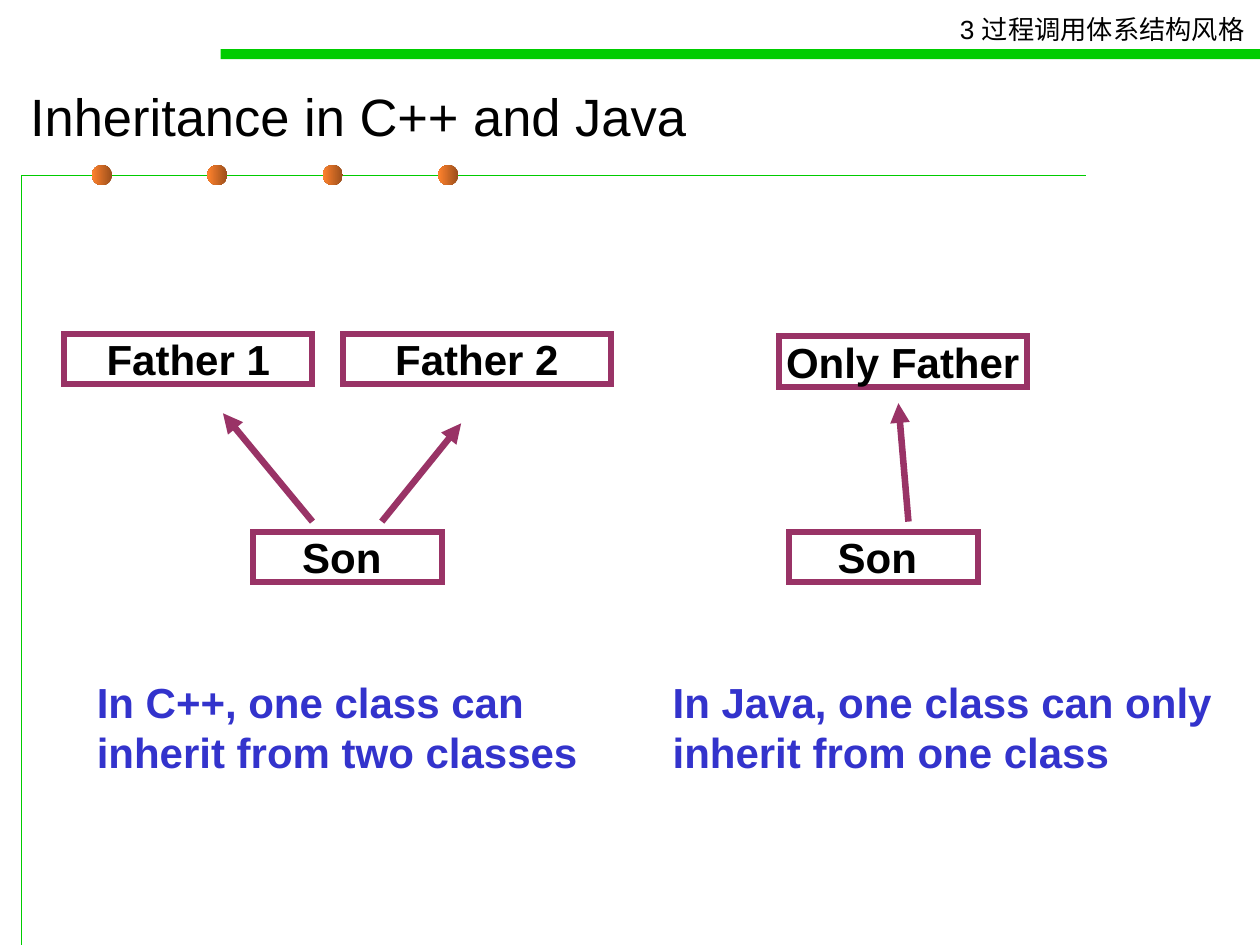
from lxml import etree
from pptx import Presentation
from pptx.dml.color import RGBColor
from pptx.enum.shapes import MSO_CONNECTOR, MSO_SHAPE
from pptx.enum.text import MSO_ANCHOR, PP_ALIGN
from pptx.oxml.ns import qn
from pptx.util import Inches, Pt

RECTANGLE, OVAL = MSO_SHAPE.RECTANGLE, MSO_SHAPE.OVAL
STRAIGHT = MSO_CONNECTOR.STRAIGHT
MIDDLE, TOP = MSO_ANCHOR.MIDDLE, MSO_ANCHOR.TOP
CENTER, LEFT = PP_ALIGN.CENTER, PP_ALIGN.LEFT

GREEN = RGBColor(0x00, 0xCC, 0x00)
BROWN = RGBColor(0x9A, 0x4E, 0x1B)
ORANGE = RGBColor(0xFF, 0x82, 0x2D)
PLUM = RGBColor(0x99, 0x33, 0x66)
BLUE = RGBColor(0x33, 0x33, 0xCC)
BLACK = RGBColor(0x00, 0x00, 0x00)

# The slide is a grid of 100 columns by 75 rows with square cells
COLUMNS, ROWS = 100, 75
CELL = Inches(10) // COLUMNS
FONT = "Arial"


def cells(*counts):
    return [round(count * CELL) for count in counts]


def write(frame, text, size, color, bold=False, align=LEFT):
    paragraph = frame.paragraphs[0]
    paragraph.alignment = align
    run = paragraph.add_run()
    run.text = text
    run.font.name, run.font.size = FONT, Pt(size)
    run.font.bold, run.font.color.rgb = bold, color


def add_text(slide, box, text, size, color, bold=False, anchor=TOP, wrap=True):
    frame = slide.shapes.add_textbox(*cells(*box)).text_frame
    frame.word_wrap = wrap
    frame.vertical_anchor = anchor
    write(frame, text, size, color, bold)
    return frame


def draw_line(shape, color, width):
    """Solid line with sharp corners; returns its XML element."""
    shape.line.width = Pt(width)
    shape.line.fill.solid()
    shape.line.fill.fore_color.rgb = color
    line = shape.line._get_or_add_ln()
    etree.SubElement(line, qn("a:miter"), lim="800000")
    return line


def add_plain_shape(slide, kind, box):
    shape = slide.shapes.add_shape(kind, *cells(*box))
    shape.shadow.inherit = False
    shape.line.fill.background()
    return shape


def add_header(slide, box):
    """Chapter name above a thick bar that runs to the right edge."""
    left, top, width, height = box
    bar_height = 0.8
    bar = add_plain_shape(
        slide, RECTANGLE, (left, top + height - bar_height, width, bar_height))
    bar.fill.solid()
    bar.fill.fore_color.rgb = GREEN
    chapter_width = 24.8
    chapter = add_text(
        slide, (left + width - chapter_width, top, chapter_width, 3.5),
        "3 过程调用体系结构风格", 15, BLACK, wrap=False)
    # The name needs nearly the whole width to stay on one line
    chapter.margin_right = 0


def add_frame(slide, box):
    """Thin corner line with evenly spaced beads along its top."""
    left, top, width, height = box
    corner, right_end = cells(left, top), cells(left + width, top)
    builder = slide.shapes.build_freeform(*cells(left, top + height))
    builder.add_line_segments([corner, right_end], close=False)
    outline = builder.convert_to_shape()
    outline.shadow.inherit = False
    outline.fill.background()
    draw_line(outline, GREEN, 0.75)
    # Without the theme style only the green line remains
    outline.element.remove(outline.element.find(qn("p:style")))

    bead_size, first_bead, bead_step = 1.6, 5.6, 9.16
    for index in range(4):
        bead = add_plain_shape(slide, OVAL, (
            left + first_bead + index * bead_step, top - bead_size / 2,
            bead_size, bead_size))
        bead.fill.gradient()
        bead.fill.gradient_angle = 180
        for stop, position, color in zip(
                bead.fill.gradient_stops, (0, 1), (BROWN, ORANGE)):
            stop.position, stop.color.rgb = position, color


def add_class_box(slide, box, name):
    class_box = add_plain_shape(slide, RECTANGLE, box)
    class_box.fill.background()
    draw_line(class_box, PLUM, 3.5)
    frame = class_box.text_frame
    frame.margin_left = frame.margin_right = 0
    frame.margin_top = frame.margin_bottom = 0
    frame.word_wrap = True
    frame.vertical_anchor = TOP
    write(frame, name, 24, BLACK, True, CENTER)


def add_arrow(slide, start, end):
    arrow = slide.shapes.add_connector(STRAIGHT, *cells(*start, *end))
    line = draw_line(arrow, PLUM, 3.75)
    etree.SubElement(line, qn("a:tailEnd"), type="triangle")
    etree.SubElement(line.getparent(), qn("a:effectLst"))


def add_inheritance(slide, box, fathers, son_left, arrows, caption_box, caption):
    """Fathers over a son with arrows upward, and a caption underneath.

    fathers: (name, left, top, width); arrows: (start, end, end row).
    All places count from the corner of the box.
    """
    left, top, _, height = box
    class_height, son_width, arrow_start_row = 4, 15, 14.9
    for name, father_left, father_top, father_width in fathers:
        add_class_box(slide, (left + father_left, top + father_top,
                              father_width, class_height), name)
    add_class_box(
        slide, (left + son_left, top + 15.7, son_width, class_height), "Son ")
    for start, end, end_row in arrows:
        add_arrow(slide, (left + start, top + arrow_start_row),
                  (left + end, top + end_row))
    caption_left, caption_width = caption_box
    caption_height = 9
    add_text(slide, (left + caption_left, top + height - caption_height,
                     caption_width, caption_height), caption, 24, BLUE, True)


def main():
    presentation = Presentation()
    presentation.slide_width = COLUMNS * CELL
    presentation.slide_height = ROWS * CELL
    slide = presentation.slides.add_slide(presentation.slide_layouts[6])

    add_frame(slide, (1.7, 13.9, 84.5, ROWS - 13.9))
    add_header(slide, (17.5, 0.6, COLUMNS - 17.5, 4.1))
    add_text(slide, (1.4, 5.6, 92.9, 7.1),
             "Inheritance in C++ and Java", 30, BLACK, anchor=MIDDLE)

    # Left half: two fathers
    add_inheritance(
        slide, (5.1, 26.5, 43.4, 35.7),
        [("Father 1", 0, 0, 19.7), ("Father 2", 22.1, 0, 21.3)], 15,
        [(19.7, 12.6, 6.3), (25.2, 31.5, 7.1)],
        (1.6, 41), "In C++, one class can inherit from two classes")
    # Right half: a single father
    add_inheritance(
        slide, (52.4, 26.5, 45.7, 35.7),
        [("Only Father", 9.4, 0.2, 19.7)], 10.2,
        [(19.7, 18.9, 5.5)],
        (0, 45.7), "In Java, one class can only inherit from one class")

    presentation.save("out.pptx")


if __name__ == "__main__":
    main()
